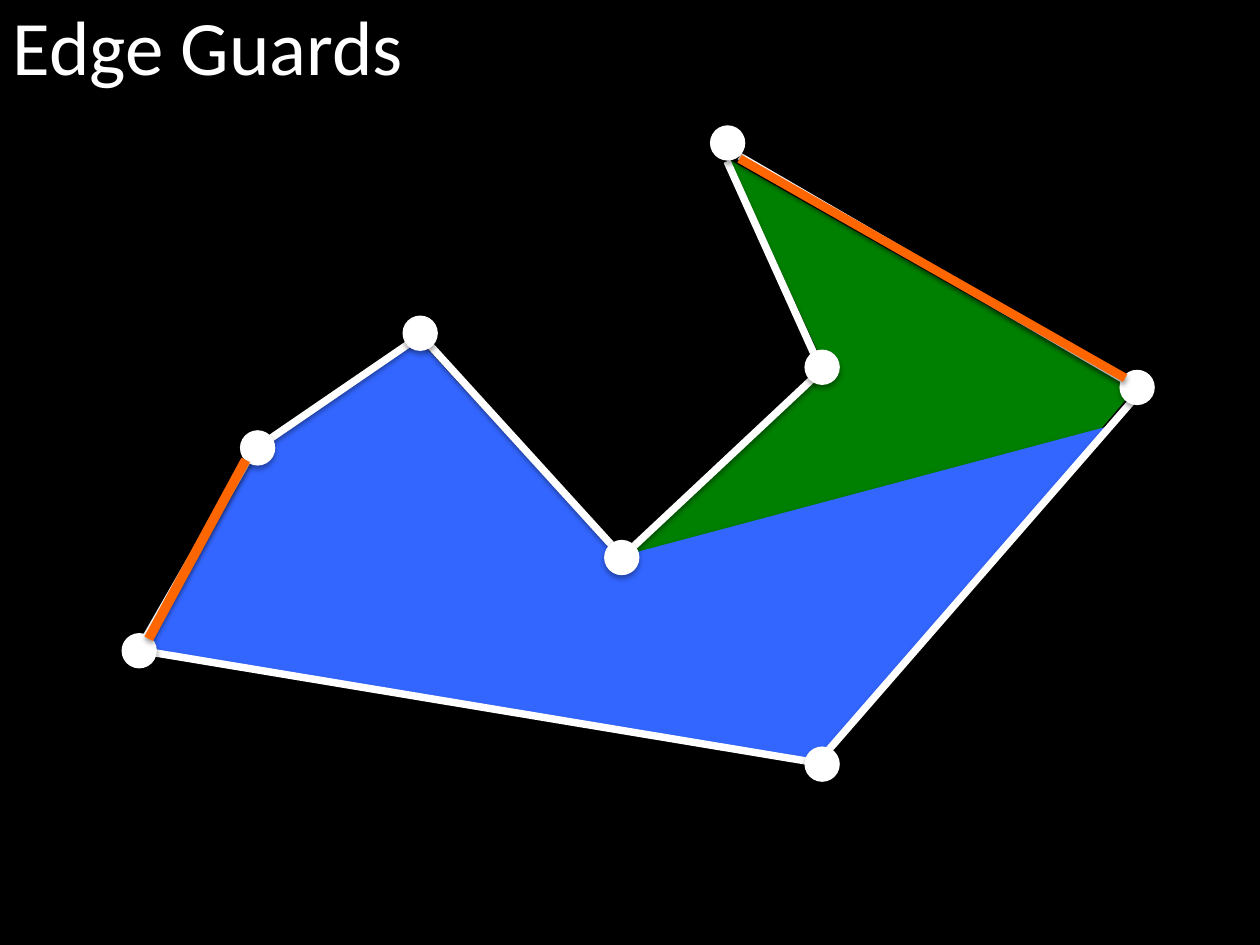
import lxml.etree
import pptx
import pptx.dml.color
import pptx.enum.shapes
import pptx.enum.text
import pptx.oxml.ns
import pptx.util

Inches = pptx.util.Inches
Pt = pptx.util.Pt

WHITE, GREEN, BLUE, ORANGE = "FFFFFF", "008000", "3366FF", "FF6600"
DOT = 0.27

NEAR = [(4.8, 0.28), (5.56, 1.93), (3.92, 3.45), (1.37, 4.33),
        (5.49, 5.02), (8, 2.09)]
FAR = [(2.32, 1.69), (1.03, 2.56), (0.12, 4.18), (5.5, 5.05),
       (7.81, 2.38), (3.91, 3.42)]
EDGES = [
    ((4.87, 0.24), (8, 2.06)),
    ((1.03, 2.54), (0.1, 4.16)),
    ((1.03, 2.56), (2.33, 1.67)),
    ((2.33, 1.65), (3.94, 3.42)),
    ((3.94, 3.42), (5.52, 1.94)),
    ((0.1, 4.16), (5.52, 5.06)),
    ((5.5, 5.04), (8.11, 2.04)),
    ((5.52, 1.94), (4.77, 0.28)),
]
DOTS = [(-0.03, 4.03), (2.2, 1.51), (3.8, 3.29), (5.39, 1.78),
        (4.64, 0), (5.39, 4.93), (7.89, 1.94), (0.91, 2.42)]
GUARDS = [
    ((4.87, 0.26), (7.93, 2), 5),
    ((0.95, 2.65), (0.18, 4.07), 5.5),
]


def paint(fill, color):
    fill.solid()
    fill.fore_color.rgb = pptx.dml.color.RGBColor.from_string(color)


def shade(shape, drop, alpha):
    qn = pptx.oxml.ns.qn
    add = lxml.etree.SubElement
    glow = add(shape._element.spPr, qn("a:effectLst"))
    cast = add(glow, qn("a:outerShdw"), blurRad=str(Pt(3.1)),
               dist=str(Pt(drop)), dir="5400000", rotWithShape="0")
    tint = add(cast, qn("a:srgbClr"), val="000000")
    add(tint, qn("a:alpha"), val=str(alpha * 1000))


def shift(box, point):
    return tuple(Inches(b + p) for b, p in zip(box, point))


def draw_zone(shapes, box, points, color, edged=False):
    start, *rest = [shift(box, p) for p in points]
    pen = shapes.build_freeform(*start, scale=1.0)
    pen.add_line_segments(rest, close=True)
    zone = pen.convert_to_shape()
    paint(zone.fill, color)
    if edged:
        paint(zone.line.fill, color)
        zone.line.width = Pt(0.75)
    else:
        zone.line.fill.background()
    shade(zone, 1.8, 35)


def draw_line(shapes, box, start, end, color, width):
    line = shapes.add_connector(
        pptx.enum.shapes.MSO_CONNECTOR.STRAIGHT,
        *shift(box, start), *shift(box, end))
    paint(line.line.fill, color)
    line.line.width = Pt(width)
    shade(line, 1.6, 38)


def draw_dot(shapes, box, point):
    dot = shapes.add_shape(
        pptx.enum.shapes.MSO_SHAPE.OVAL,
        *shift(box, point), Inches(DOT), Inches(DOT))
    paint(dot.fill, WHITE)
    paint(dot.line.fill, WHITE)
    dot.line.width = Pt(0.75)
    shade(dot, 1.8, 35)


def draw_frame(shapes, box):
    group = shapes.add_group_shape().shapes
    for start, end in EDGES:
        draw_line(group, box, start, end, WHITE, 4.25)
    for point in DOTS:
        draw_dot(group, box, point)


def draw_guards(shapes, box):
    for start, end, width in GUARDS:
        draw_line(shapes, box, start, end, ORANGE, width)


def set_title(title, box):
    title.left, title.top, title.width, title.height = map(Inches, box)
    frame = title.text_frame
    frame.text = "Edge Guards"
    frame.word_wrap = True
    frame.auto_size = pptx.enum.text.MSO_AUTO_SIZE.NONE
    frame.vertical_anchor = pptx.enum.text.MSO_ANCHOR.TOP
    line = frame.paragraphs[0]
    line.alignment = pptx.enum.text.PP_ALIGN.LEFT
    font = line.runs[0].font
    font.name = "Calibri"
    font.size = Pt(44)
    paint(font.fill, WHITE)


def main():
    deck = pptx.Presentation()
    deck.slide_width, deck.slide_height = Inches(10), Inches(7.5)
    slide = deck.slides.add_slide(deck.slide_layouts[5])
    paint(slide.background.fill, "000000")
    shapes = slide.shapes
    box = (1, 1)
    set_title(shapes.title, (0, -0.06, 9.31, 0.84))
    draw_zone(shapes, box, NEAR, GREEN, edged=True)
    draw_zone(shapes, box, FAR, BLUE)
    draw_frame(shapes, box)
    draw_guards(shapes, box)
    deck.save("out.pptx")


if __name__ == "__main__":
    main()
